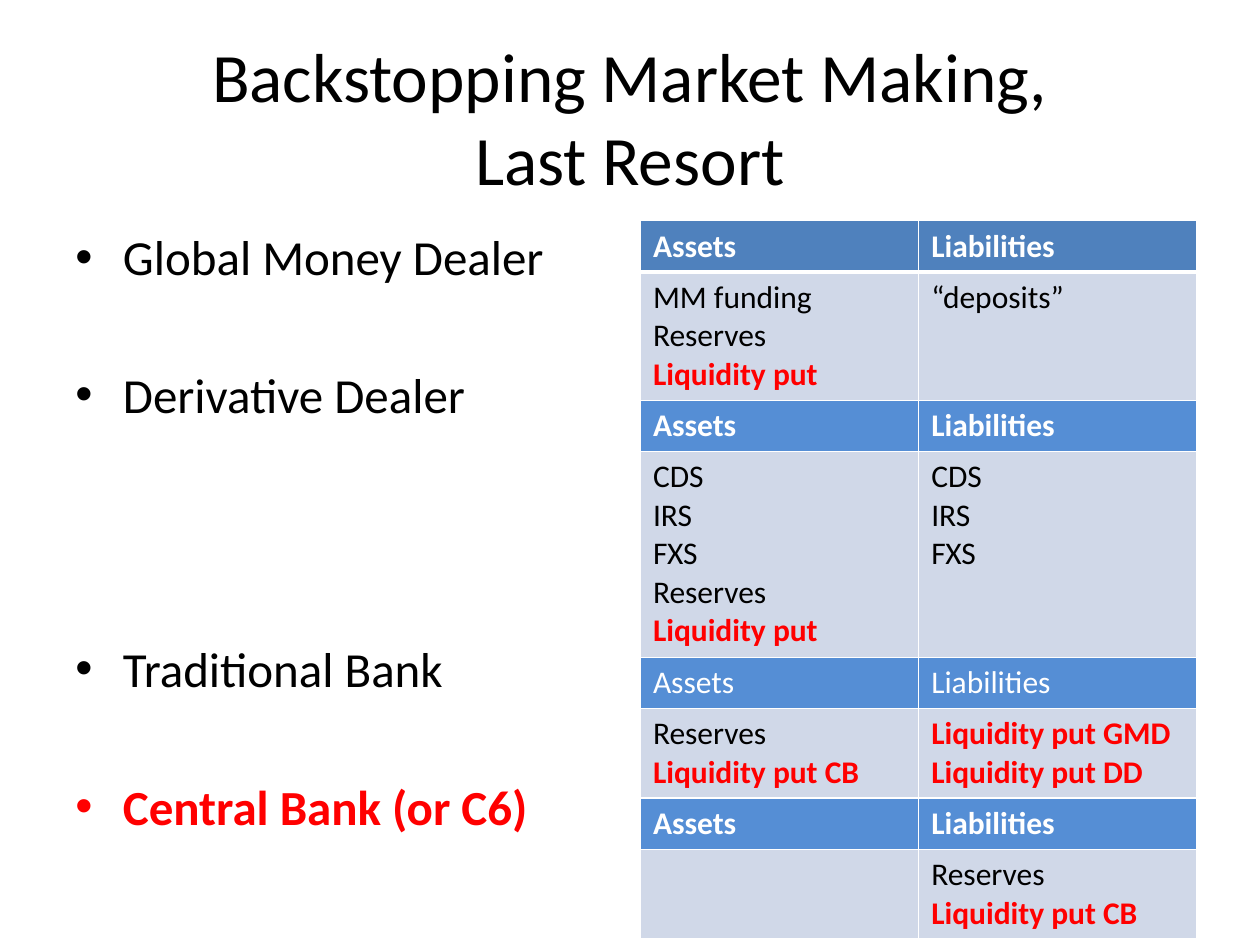
"""Build a slide on backstopping market making, with dealer and bank balance sheets."""
from lxml.etree import SubElement
from pptx import Presentation
from pptx.dml.color import RGBColor
from pptx.enum.shapes import MSO_SHAPE
from pptx.enum.text import MSO_ANCHOR, PP_ALIGN
from pptx.oxml.ns import qn
from pptx.util import Cm, Pt

BLACK, WHITE, RED = "000000", "FFFFFF", "FF0000"
DARK_BLUE, BLUE, PALE = "4F81BD", "558ED5", "D0D8E8"
LIQUIDITY = "Liquidity put"


def colour(value):
    return RGBColor.from_string(value)


class Deck:
    def __init__(self, font="Calibri"):
        self.font = font
        self.presentation = Presentation()
        self.presentation.slide_width, self.presentation.slide_height = Cm(25.4), Cm(19.05)
        self.slide = self.presentation.slides.add_slide(self.presentation.slide_layouts[6])

    def style(self, paragraph, size, ink, bold=False):
        font = paragraph.font
        font.name, font.size, font.bold = self.font, Pt(size), bold
        font.color.rgb = colour(ink)

    def title(self, text, left, top, width, height):
        banner = self.slide.shapes.add_shape(
            MSO_SHAPE.RECTANGLE, Cm(left), Cm(top), Cm(width), Cm(height))
        banner.shadow.inherit = False
        banner.fill.solid()
        banner.fill.fore_color.rgb = colour(WHITE)
        banner.line.fill.background()
        banner.text_frame.word_wrap = True
        banner.text_frame.vertical_anchor = MSO_ANCHOR.MIDDLE
        heading = banner.text_frame.paragraphs[0]
        heading.text = text
        heading.alignment = PP_ALIGN.CENTER
        self.style(heading, 39.6, BLACK)

    def bullets(self, items, left, top, width, height):
        frame = self.slide.shapes.add_textbox(Cm(left), Cm(top), Cm(width), Cm(height)).text_frame
        frame.word_wrap = True
        for index, (text, gap, ink) in enumerate(items):
            item = frame.add_paragraph() if index else frame.paragraphs[0]
            item.text = text
            item.space_before = Pt(gap)
            self.style(item, 28, ink, ink == RED)
            properties = item._p.get_or_add_pPr()
            properties.set("marL", str(Cm(0.96)))
            properties.set("indent", str(-Cm(0.96)))
            SubElement(properties, qn("a:buFont"), typeface="Arial")
            SubElement(properties, qn("a:buChar"), char="•")

    def border(self, cell, bottom):
        properties = cell._tc.get_or_add_tcPr()
        for position, side in enumerate(("lnL", "lnR", "lnT", "lnB")):
            width = bottom if side == "lnB" else 1
            line = properties.makeelement(qn(f"a:{side}"), {"w": str(Pt(width))})
            properties.insert(position, line)
            SubElement(SubElement(line, qn("a:solidFill")), qn("a:srgbClr"), val=WHITE)

    def cell(self, cell, lines, fill, ink, bold, bottom):
        cell.fill.solid()
        cell.fill.fore_color.rgb = colour(fill)
        cell.text = "\n".join(lines)
        for paragraph in cell.text_frame.paragraphs:
            put = paragraph.text.startswith(LIQUIDITY)
            self.style(paragraph, 18, RED if put else ink, bold or put)
        self.border(cell, bottom)

    def balance_sheets(self, sheets, left, top, width):
        table = self.slide.shapes.add_table(
            2 * len(sheets), 2, Cm(left), Cm(top), Cm(width), Cm(14.27)).table
        for index, (bold, *sides) in enumerate(sheets):
            fill, bottom = (BLUE, 1) if index else (DARK_BLUE, 3)
            header, body = 2 * index, 2 * index + 1
            table.rows[header].height = Cm(1.03)
            table.rows[body].height = Cm(0.25 + 0.78 * max(map(len, sides)))
            for column, (heading, entries) in enumerate(zip(("Assets", "Liabilities"), sides)):
                self.cell(table.cell(header, column), [heading], fill, WHITE, bold, bottom)
                self.cell(table.cell(body, column), entries, PALE, BLACK, False, 1)


def main():
    deck = Deck()
    deck.title("Backstopping Market Making,\vLast Resort", 1.27, 0.76, 22.86, 3.18)
    deck.bullets([
        ("Global Money Dealer", 5, BLACK),
        ("Derivative Dealer", 45, BLACK),
        ("Traditional Bank", 123, BLACK),
        ("Central Bank (or C6)", 45, RED),
    ], 1.27, 4.45, 11.22, 13.77)
    swaps = ["CDS", "IRS", "FXS"]
    central_put = ["Reserves", f"{LIQUIDITY} CB"]
    deck.balance_sheets([
        (True, ["MM funding", "Reserves", LIQUIDITY], ["“deposits”"]),
        (True, [*swaps, "Reserves", LIQUIDITY], swaps),
        (False, central_put, [f"{LIQUIDITY} GMD", f"{LIQUIDITY} DD"]),
        (True, [], central_put),
    ], 12.91, 4.45, 11.22)
    deck.presentation.save("out.pptx")


if __name__ == "__main__":
    main()
